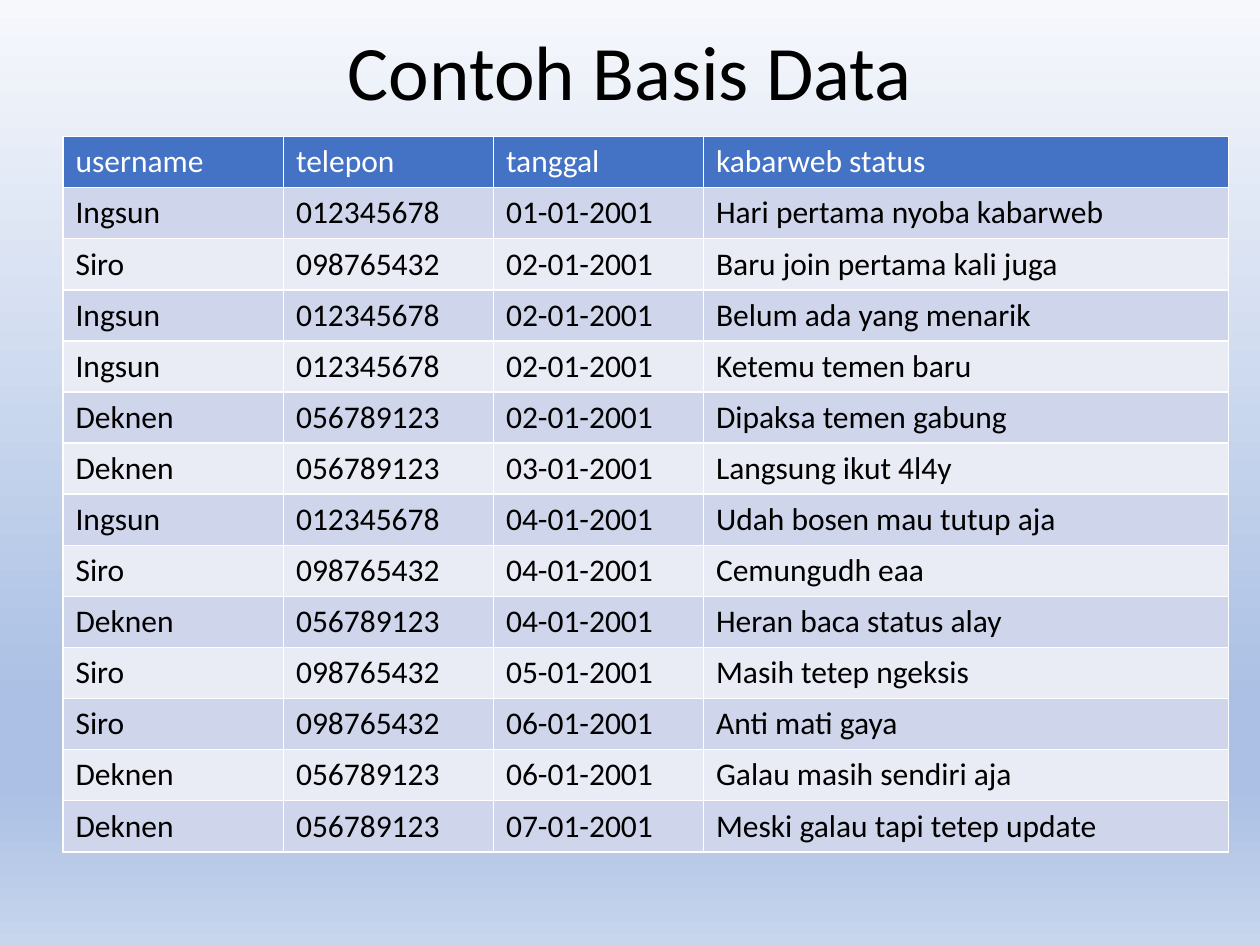
from pptx import Presentation, util as u
from pptx.dml.color import RGBColor
from pptx.enum import text
from pptx.oxml import parse_xml
from pptx.oxml.ns import nsdecls, qn

BLACK = RGBColor(0x00, 0x00, 0x00)
WHITE = RGBColor(0xFF, 0xFF, 0xFF)
HEADER_BLUE = RGBColor(0x44, 0x72, 0xC4)
BAND_DARK = RGBColor(0xCF, 0xD5, 0xEA)
BAND_LIGHT = RGBColor(0xE9, 0xEB, 0xF5)
SKY_TOP = RGBColor(0xF6, 0xF8, 0xFC)
SKY_DEEP = RGBColor(0xAB, 0xC0, 0xE4)
SKY_BOTTOM = RGBColor(0xC7, 0xD5, 0xED)
BACKGROUND_STOPS = [(0, SKY_TOP), (74, SKY_DEEP), (83, SKY_DEEP), (100, SKY_BOTTOM)]

FONT = "Calibri"
GRID = u.Inches(10) / 120
TITLE_BOX = (8.25, -1.5, 103.5, 17.4)
TABLE_BOX = (6, 13, 111, 68.16)
COLUMN_SPANS = [21, 20, 20, 50]

HEADERS = ["username", "telepon", "tanggal", "kabarweb status"]
PHONES = {"Ingsun": "012345678", "Siro": "098765432", "Deknen": "056789123"}
POSTS = [
    ("Ingsun", 1, "Hari pertama nyoba kabarweb"),
    ("Siro", 2, "Baru join pertama kali juga"),
    ("Ingsun", 2, "Belum ada yang menarik"),
    ("Ingsun", 2, "Ketemu temen baru"),
    ("Deknen", 2, "Dipaksa temen gabung"),
    ("Deknen", 3, "Langsung ikut 4l4y"),
    ("Ingsun", 4, "Udah bosen mau tutup aja"),
    ("Siro", 4, "Cemungudh eaa"),
    ("Deknen", 4, "Heran baca status alay"),
    ("Siro", 5, "Masih tetep ngeksis"),
    ("Siro", 6, "Anti mati gaya"),
    ("Deknen", 6, "Galau masih sendiri aja"),
    ("Deknen", 7, "Meski galau tapi tetep update"),
]


def grid(units):
    return u.Emu(round(units * GRID))


def style_font(paragraph, size, color):
    font = paragraph.font
    font.name, font.size, font.bold = FONT, u.Pt(size), False
    font.color.rgb = color


def paint_background(slide):
    fill = slide.background.fill
    fill.gradient()
    fill.gradient_angle = 270
    stops = slide.element.find(".//" + qn("a:gsLst"))
    for stop in list(stops):
        stops.remove(stop)
    for percent, color in BACKGROUND_STOPS:
        stops.append(parse_xml(
            f'<a:gs {nsdecls("a")} pos="{percent * 1000}"><a:srgbClr val="{color}"/></a:gs>'))


def add_title(slide, box):
    frame = slide.shapes.add_textbox(*map(grid, box)).text_frame
    frame.word_wrap = True
    frame.vertical_anchor = text.MSO_ANCHOR.MIDDLE
    paragraph = frame.paragraphs[0]
    paragraph.text = "Contoh Basis Data"
    paragraph.alignment = text.PP_ALIGN.CENTER
    paragraph.line_spacing = 0.9
    style_font(paragraph, 44, BLACK)


def add_borders(cell):
    properties = cell._tc.get_or_add_tcPr()
    for side in ("lnL", "lnR", "lnT", "lnB"):
        properties.append(parse_xml(
            f'<a:{side} {nsdecls("a")} w="{u.Pt(1)}"><a:solidFill>'
            f'<a:srgbClr val="{WHITE}"/></a:solidFill></a:{side}>'))


def fill_cell(cell, value, fill, color):
    add_borders(cell)
    cell.fill.solid()
    cell.fill.fore_color.rgb = fill
    cell.text = value
    style_font(cell.text_frame.paragraphs[0], 18, color)


def add_posts_table(slide, box):
    rows = [HEADERS] + [
        [name, PHONES[name], f"{day:02}-01-2001", status] for name, day, status in POSTS]
    table = slide.shapes.add_table(len(rows), len(HEADERS), *map(grid, box)).table
    for column, span in zip(table.columns, COLUMN_SPANS):
        column.width = grid(box[2] * span / sum(COLUMN_SPANS))
    for index, values in enumerate(rows):
        table.rows[index].height = grid(box[3] / len(rows))
        if index == 0:
            fill, color = HEADER_BLUE, WHITE
        else:
            fill, color = (BAND_DARK if index % 2 else BAND_LIGHT), BLACK
        for cell, value in zip(table.rows[index].cells, values):
            fill_cell(cell, value, fill, color)


def main():
    presentation = Presentation()
    presentation.slide_width, presentation.slide_height = grid(120), grid(90)
    slide = presentation.slides.add_slide(presentation.slide_layouts[6])
    paint_background(slide)
    add_title(slide, TITLE_BOX)
    add_posts_table(slide, TABLE_BOX)
    presentation.save("out.pptx")


if __name__ == "__main__":
    main()
